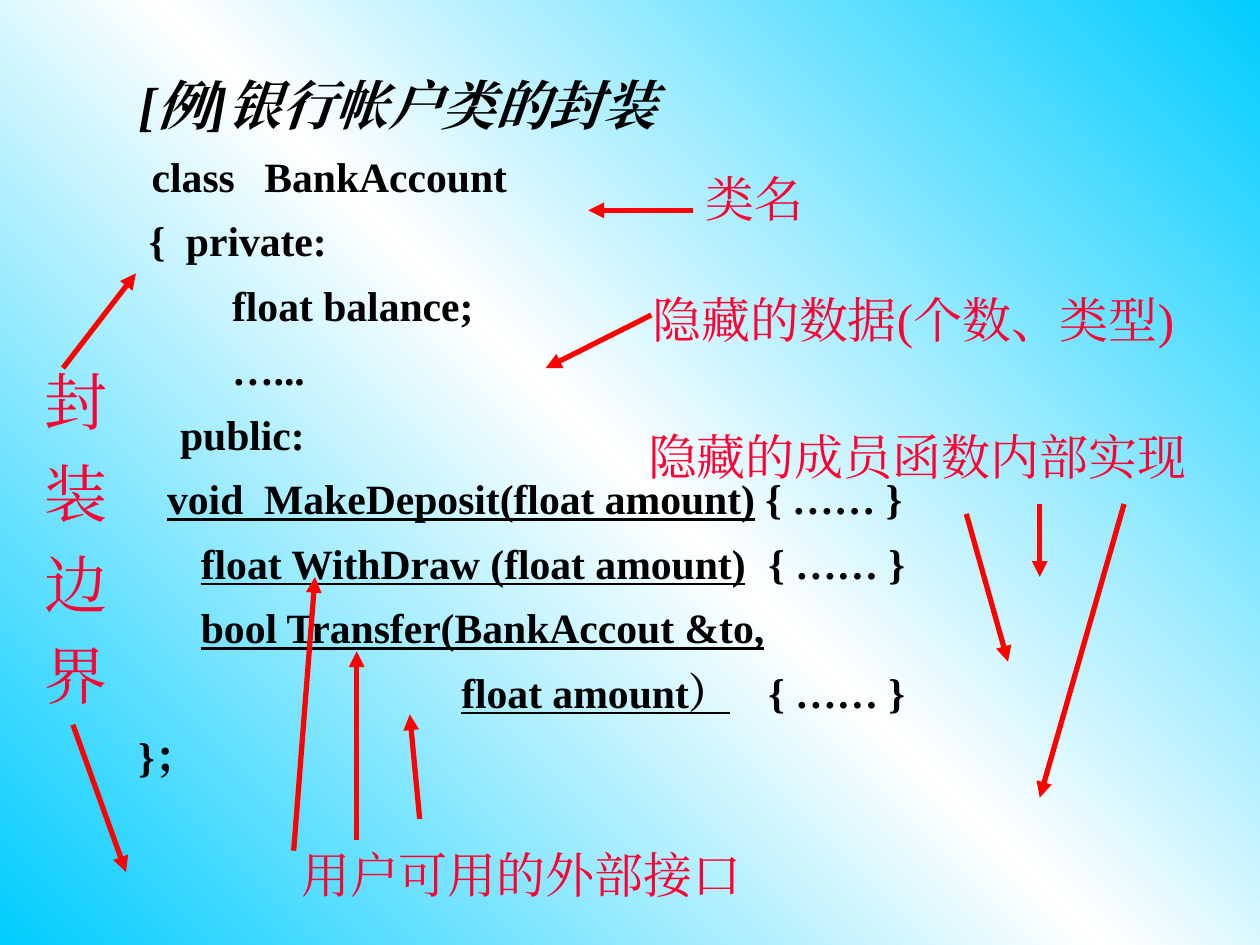
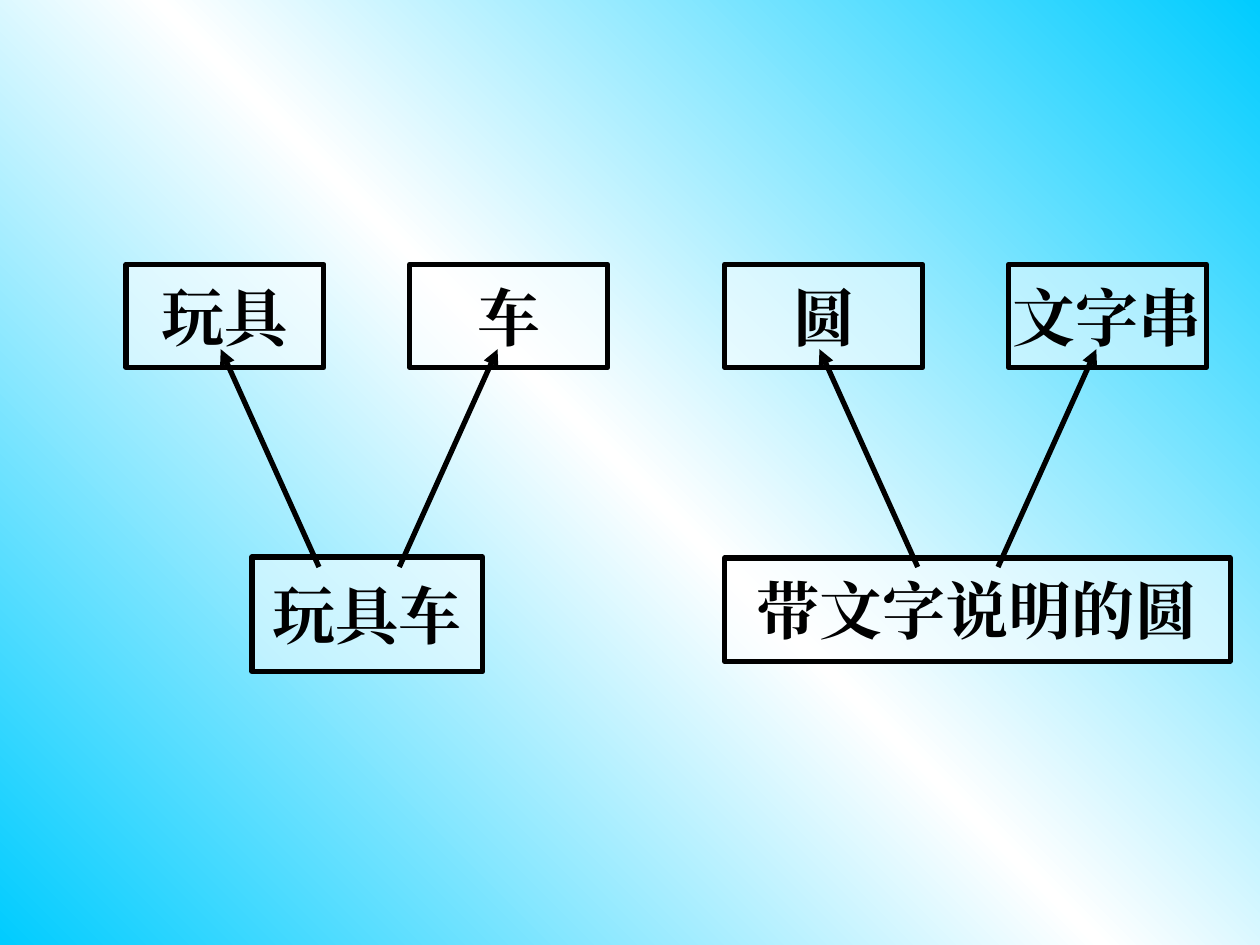
from copy import deepcopy

from lxml.etree import SubElement as Sub
from pptx import Presentation
from pptx.dml.color import RGBColor
from pptx.enum.shapes import MSO_CONNECTOR as Link, MSO_SHAPE as Shape
from pptx.enum.text import MSO_ANCHOR as Anchor, PP_ALIGN as Align
from pptx.oxml.ns import qn
from pptx.util import Cm, Pt

FONT = "Times New Roman"
BLACK, WHITE, RED, ROSE = "000000", "FFFFFF", "FF0000", "FF0033"
SKY = [(0, "00CCFF"), (0.5, WHITE), (1, "00CCFF")]

TITLE = "[例]银行帐户类的封装"
# indent, tab stop, then the runs as (text, underlined)
CODE = [
    (0.27, 2.57, [("class\tBankAccount", False)]),
    (0.21, None, [("{  private:", False)]),
    (1.89, None, [("float balance;", False)]),
    (1.89, None, [("…...", False)]),
    (0.84, None, [("public:", False)]),
    (0.58, None, [("void  MakeDeposit(float amount)", True), (" { …… }", False)]),
    (1.26, 13.29, [("float WithDraw (float amount)", True), ("\t{ …… }", False)]),
    (1.26, 16.8, [("bool Transfer(BankAccout &to,\t", True)]),
    (6.51, 13.66, [("float amount）", True), ("\t{ …… }", False)]),
    (0, None, [("}；", False)]),
]
BORDER = "封装边界"
# text, left, top, width
LABELS = [
    ("用户可用的外部接口", 5.11, 16.89, 10.8),
    ("隐藏的成员函数内部实现", 12.29, 8.48, 12.4),
    ("隐藏的数据(个数、类型)", 11.91, 5.72, 13),
    ("类名", 13.31, 3.28, 3.81),
]
# start x, y, end x, y
ARROWS = [
    (1.27, 7.42, 2.74, 5.51),
    (1.47, 14.61, 2.54, 17.58),
    (5.92, 17.15, 6.35, 11.63),
    (7.19, 16.94, 7.19, 13.13),
    (8.46, 16.51, 8.26, 14.4),
    (20.96, 10.16, 20.96, 11.63),
    (19.48, 10.36, 20.32, 13.34),
    (22.66, 10.16, 20.96, 16.08),
    (13.13, 6.35, 11, 7.42),
    (13.97, 4.24, 11.86, 4.24),
]

# left edge, two parents, child and its box
TREES = [
    (2.54, ("玩具", "车"), "玩具车", (5.08, 11.23, 4.65, 2.31)),
    (14.61, ("圆", "文字串"), "带文字说明的圆", (14.61, 11.25, 10.19, 2.08)),
]
STEP, TOP, WIDE, HIGH = 5.72, 5.33, 3.99, 2.08
RAYS = [(3.89, 1.91), (5.51, 7.49)]  # start and tip, from the left edge
FOOT, TIP = 11.43, 7.04


def rgb(code):
    return RGBColor.from_string(code)


def paint(master):
    """Give all slides the diagonal sky gradient."""
    fill = master.background.fill
    fill.gradient()
    fill.gradient_angle = 45
    stops = master._element.find(".//" + qn("p:bgPr")).find(".//" + qn("a:gsLst"))
    stops.append(deepcopy(stops[0]))
    for stop, (place, code) in zip(fill.gradient_stops, SKY):
        stop.position = place
        stop.color.rgb = rgb(code)


def style(par, size, code=BLACK, bold=False, italic=False, gap=0.0):
    font = par.font
    font.name, font.size = FONT, Pt(size)
    font.bold, font.italic = bold, italic
    font.color.rgb = rgb(code)
    east = Sub(par._p.pPr.find(qn("a:defRPr")), qn("a:ea"))
    east.set("typeface", FONT)
    par.space_before = Pt(gap)


def indent(par, first, stop):
    """Set the first-line indent and, if given, one tab stop."""
    props = par._p.get_or_add_pPr()
    props.set("marL", "0")
    props.set("indent", str(Cm(first)))
    if stop:
        tabs = Sub(props, qn("a:tabLst"))
        Sub(tabs, qn("a:tab"), pos=str(Cm(stop)), algn="l")
        props.find(qn("a:defRPr")).addprevious(tabs)


def frame(slide, *box):
    text = slide.shapes.add_textbox(*map(Cm, box)).text_frame
    text.word_wrap = True
    return text


def arrow(slide, ends, code):
    line = slide.shapes.add_connector(Link.STRAIGHT, *map(Cm, ends))
    line.line.color.rgb = rgb(code)
    line.line.width = Pt(3)
    Sub(line.line._get_or_add_ln(), qn("a:tailEnd"), type="triangle")
    Sub(line._element.spPr, qn("a:effectLst"))


def block(slide, text, *box):
    rect = slide.shapes.add_shape(Shape.RECTANGLE, *map(Cm, box))
    rect.shadow.inherit = False
    rect.fill.solid()
    rect.fill.fore_color.rgb = rgb(WHITE)
    tint = rect._element.spPr.find(qn("a:solidFill"))[0]
    Sub(tint, qn("a:alpha"), val="50000")
    rect.line.color.rgb = rgb(BLACK)
    rect.line.width = Pt(3)
    body = rect.text_frame
    body.word_wrap = False
    body.vertical_anchor = Anchor.MIDDLE
    par = body.paragraphs[0]
    par.text, par.alignment = text, Align.CENTER
    style(par, 36, bold=True, gap=9)


def account(slide):
    text = frame(slide, 2.54, 1.32, 23.06, 14.55)
    head = text.paragraphs[0]
    head.text = TITLE
    style(head, 30.6, bold=True, italic=True, gap=9)
    for first, stop, runs in CODE:
        par = text.add_paragraph()
        style(par, 23.8, bold=True, gap=8.3)
        indent(par, first, stop)
        for words, under in runs:
            run = par.add_run()
            run.text = words
            run.font.underline = under

    side = frame(slide, 0.64, 7.19, 1.91, 10.95)
    side.text = "\n".join(BORDER)
    for par in side.paragraphs:
        style(par, 36, ROSE, gap=9)
    for ends in ARROWS:
        arrow(slide, ends, RED)
    for words, left, top, wide in LABELS:
        par = frame(slide, left, top, wide, 1.45).paragraphs[0]
        par.text, par.alignment = words, Align.CENTER
        style(par, 28, ROSE, gap=17.5)


def trees(slide):
    for left, parents, child, box in TREES:
        for i, name in enumerate(parents):
            block(slide, name, left + i * STEP, TOP, WIDE, HIGH)
        block(slide, child, *box)
        for start, tip in RAYS:
            arrow(slide, (left + start, FOOT, left + tip, TIP), BLACK)


def main():
    deck = Presentation()
    deck.slide_width, deck.slide_height = Cm(25.4), Cm(19.05)
    paint(deck.slide_master)
    for draw in (account, trees):
        draw(deck.slides.add_slide(deck.slide_layouts[6]))
    deck.save("out.pptx")


if __name__ == "__main__":
    main()
